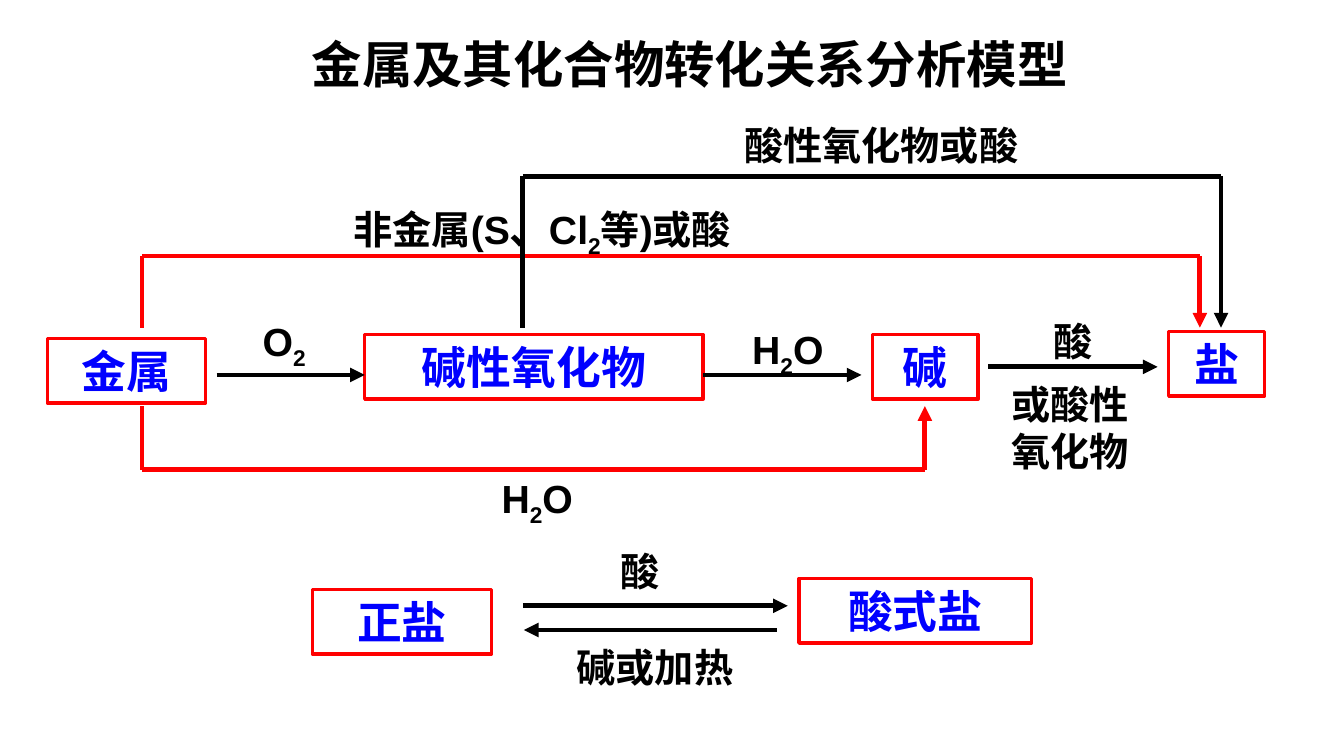
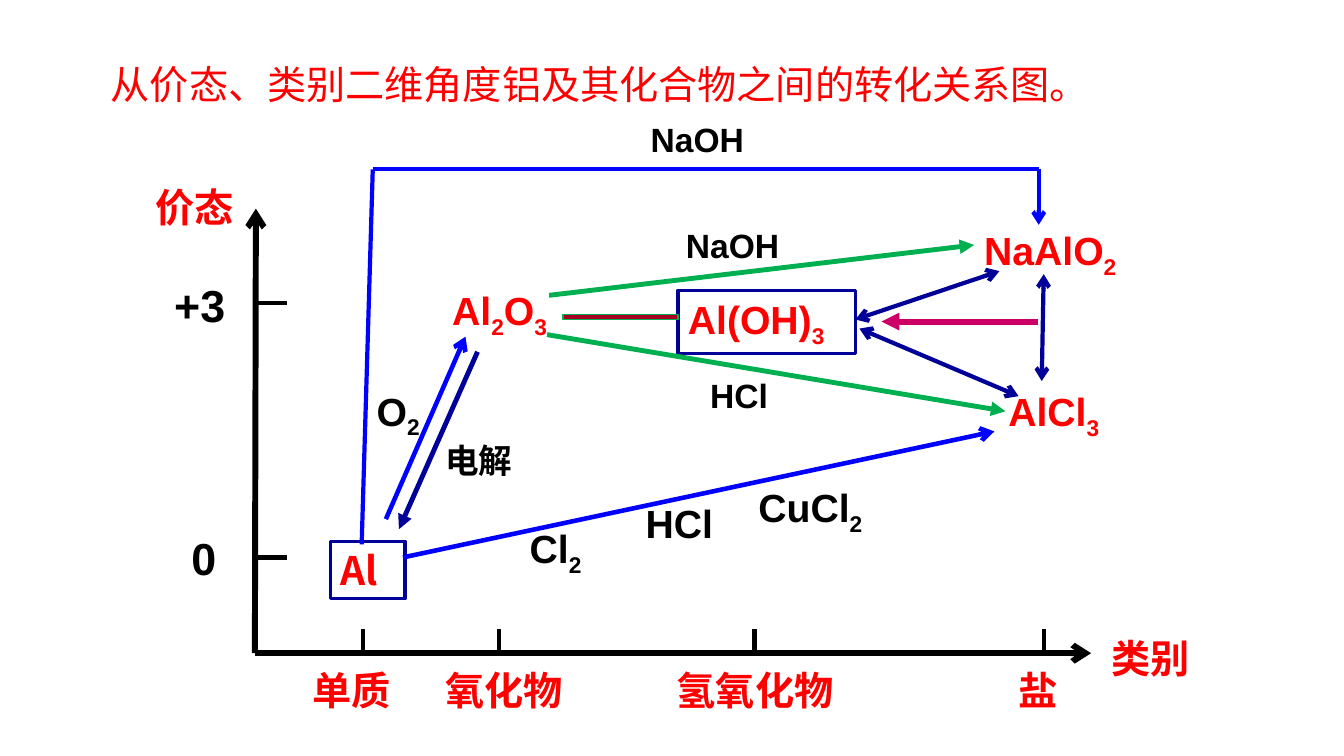
"""Build two slides on how metals and aluminium compounds convert."""
from lxml import etree
from pptx import Presentation
from pptx import util as u
from pptx.dml.color import RGBColor
from pptx.enum import shapes, text
from pptx.oxml import ns

COLORS = {
    "black": "000000", "red": "FF0000", "blue": "0000FF", "navy": "000099",
    "green": "00B050", "maroon": "A50021", "pink": "CC0066",
}
LATIN, CJK = "Arial", "Noto Sans CJK SC"
TITLE_ONLY = 5
CENTER, LEFT = text.PP_ALIGN.CENTER, text.PP_ALIGN.LEFT


def rgb(name):
    """Return the named colour."""
    return RGBColor.from_string(COLORS[name])


def split_subscripts(words):
    """Yield (piece, is_subscript); the character after each _ is a subscript."""
    first, *others = words.split("_")
    yield first, False
    for other in others:
        yield other[0], True
        yield other[1:], False


def write_text(frame, words, size=28, color="black", bold=True, font=LATIN, align=LEFT):
    """Fill a text frame with one formatted paragraph."""
    frame.word_wrap = True
    frame.auto_size = text.MSO_AUTO_SIZE.SHAPE_TO_FIT_TEXT
    frame.vertical_anchor = text.MSO_ANCHOR.TOP
    para = frame.paragraphs[0]
    para.alignment = align
    for piece, subscript in split_subscripts(words):
        if not piece:
            continue
        span = para.add_run()
        span.text = piece
        span.font.size = u.Pt(size)
        span.font.bold = bold
        span.font.name = font
        span.font.color.rgb = rgb(color)
        properties = span._r.get_or_add_rPr()
        etree.SubElement(properties, ns.qn("a:ea")).set("typeface", CJK)
        if subscript:
            properties.set("baseline", "-25000")


class Diagram:
    """Holds the deck, the current page and the shared style."""

    def __init__(self):
        """Start a wide deck."""
        self.deck = Presentation()
        self.deck.slide_width = u.Inches(13.34)
        self.deck.slide_height = u.Inches(7.5)
        self.page = None

    def add_page(self, words, place, **style):
        """Add a page with its title."""
        self.page = self.deck.slides.add_slide(self.deck.slide_layouts[TITLE_ONLY])
        title = self.page.shapes.title
        title.left, title.top, title.width, title.height = map(u.Inches, place)
        write_text(title.text_frame, words, **style)

    def label(self, words, left, top, width, height=0.57, **style):
        """Add plain text."""
        box = self.page.shapes.add_textbox(*map(u.Inches, (left, top, width, height)))
        write_text(box.text_frame, words, **style)

    def rectangle(self, place, outline, weight=2.5, fill=None):
        """Add a rectangle and return it."""
        box = self.page.shapes.add_shape(shapes.MSO_SHAPE.RECTANGLE, *map(u.Inches, place))
        box.shadow.inherit = False
        if fill:
            box.fill.solid()
            box.fill.fore_color.rgb = rgb(fill)
        else:
            box.fill.background()
        box.line.color.rgb = rgb(outline)
        box.line.width = u.Pt(weight)
        return box

    def framed(self, words, place, outline, **style):
        """Add text in an outlined rectangle."""
        write_text(self.rectangle(place, outline).text_frame, words, **style)

    def line(self, start, end, color="black", weight=3.5, head=None, tail=None):
        """Add a straight line with optional arrowheads."""
        line = self.page.shapes.add_connector(
            shapes.MSO_CONNECTOR.STRAIGHT, *map(u.Inches, (*start, *end)))
        line.line.color.rgb = rgb(color)
        line.line.width = u.Pt(weight)
        outline = line.line._get_or_add_ln()
        for tag, kind in (("a:headEnd", head), ("a:tailEnd", tail)):
            if kind:
                etree.SubElement(outline, ns.qn(tag)).set("type", kind)
        etree.SubElement(line._element.spPr, ns.qn("a:effectLst"))

    def route(self, points, tail="triangle", **style):
        """Join points with lines, ending in an arrow."""
        for index, (start, end) in enumerate(zip(points, points[1:]), 2):
            self.line(start, end, tail=tail if index == len(points) else None, **style)


def build_metal_model(diagram):
    """Draw the general conversion model for metals."""
    diagram.add_page("金属及其化合物转化关系分析模型", (1.36, 0.28, 10.97, 0.7),
                     size=36, align=CENTER)
    for words, left, top, width in (
        ("金属", 0.47, 3.36, 1.57), ("碱性氧化物", 3.62, 3.32, 3.36),
        ("碱", 8.66, 3.32, 1.05), ("盐", 11.6, 3.29, 0.95),
        ("正盐", 3.1, 5.85, 1.78), ("酸式盐", 7.93, 5.74, 2.31),
    ):
        diagram.framed(words, (left, top, width, 0.64), "red",
                       size=32, color="blue", align=CENTER)
    for start, end, height in (
        (2.15, 3.62, 3.72), (6.98, 8.55, 3.72), (9.81, 11.49, 3.64),
        (5.19, 7.82, 6.01), (7.71, 5.2, 6.25),
    ):
        diagram.line((start, height), (end, height), tail="triangle")
    for start, end, base, turn, color in (
        (1.41, 11.91, 3.25, 2.54, "red"), (1.41, 9.18, 4.03, 4.66, "red"),
        (5.19, 12.12, 3.25, 1.75, "black"),
    ):
        diagram.route([(start, base), (start, turn), (end, turn), (end, base)], color=color)
    for words, left, top, width in (
        ("O_2", 2.35, 3.1, 0.94), ("H_2O", 7.19, 3.18, 1.26),
        ("酸", 10.23, 3.1, 0.84), ("酸", 5.93, 5.38, 0.84),
        ("碱或加热", 5.49, 6.33, 2.02),
    ):
        diagram.label(words, left, top, width, align=CENTER)
    for words, left, top, width in (
        ("H_2O", 4.88, 4.66, 1.26), ("酸性氧化物或酸", 7.29, 1.15, 3.12),
        ("非金属(S、Cl_2等)或酸", 3.41, 1.99, 6.3),
    ):
        diagram.label(words, left, top, width)
    diagram.label("或酸性氧化物", 9.94, 3.72, 1.51, 1.04)


def build_axes(diagram):
    """Draw the valence and category axes."""
    origin = (2.53, 6.48)
    for end in ((2.54, 2.07), (10.83, 6.48)):
        diagram.line(origin, end, weight=4.25, tail="arrow")
    for height in (3.01, 5.53):
        diagram.line((2.53, height), (2.85, height), weight=3)
    for across in (3.6, 4.95, 7.49, 10.36):
        diagram.line((across, 6.24), (across, 6.48), weight=3)
    diagram.label("0", 1.8, 5.22, 0.69, 0.64, size=32)
    diagram.label("+3", 1.63, 2.71, 0.88, 0.64, size=32)
    for words, left, width in (
        ("单质", 3, 1.09), ("氧化物", 4.32, 2.41), ("氢氧化物", 6.62, 1.87), ("盐", 10.01, 0.65),
    ):
        diagram.label(words, left, 6.56, width, color="red")
    diagram.label("价态", 1.44, 1.77, 1.15, color="red")
    diagram.label("类别", 10.93, 6.24, 1.73, color="red")


def build_aluminium_map(diagram):
    """Draw the aluminium conversions by valence and category."""
    diagram.add_page("从价态、类别二维角度铝及其化合物之间的转化关系图。",
                     (1, 0.55, 12.08, 0.57), color="red", bold=False, font=CJK)
    build_axes(diagram)
    diagram.framed("Al", (3.28, 5.37, 0.74, 0.57), "navy", color="red", font=CJK)
    diagram.framed("Al(OH)_3", (6.73, 2.88, 1.76, 0.63), "navy", color="red")
    for words, left, top, width in (
        ("AlCl_3", 9.91, 3.79, 1.35), ("Al_2O_3", 4.39, 2.79, 1.33), ("NaAlO_2", 9.67, 2.2, 1.75),
    ):
        diagram.label(words, left, top, width, 0.63, color="red")
    diagram.rectangle((5.59, 3.12, 1.14, 0.05), "green", weight=1, fill="maroon")
    for start, end, color, weight, tail in (
        ((3.83, 5.15), (4.62, 3.34), "blue", 3.25, "arrow"),
        ((4, 5.53), (9.87, 4.28), "blue", 3.25, "arrow"),
        ((5.45, 2.93), (9.67, 2.43), "green", 3.5, "triangle"),
        ((5.43, 3.32), (9.98, 4.08), "green", 3.5, "triangle"),
        ((4.74, 3.49), (3.96, 5.25), "navy", 3.5, "triangle"),
        ((10.3, 3.19), (8.75, 3.19), "pink", 4.25, "triangle"),
    ):
        diagram.line(start, end, color, weight, tail=tail)
    for start, end in (
        ((10.36, 2.72), (10.34, 3.78)), ((9.92, 2.69), (8.49, 3.17)), ((10.11, 3.93), (8.53, 3.26)),
    ):
        diagram.line(start, end, "navy", 3, head="arrow", tail="arrow")
    diagram.route([(3.59, 5.4), (3.7, 1.68), (10.31, 1.68), (10.31, 2.23)],
                  tail="arrow", color="blue", weight=3)
    for words, left, top, width in (
        ("Cl_2", 5.16, 5.15, 1.57), ("HCl", 6.31, 4.9, 1.03),
        ("O_2", 3.64, 3.79, 0.71), ("CuCl_2", 7.43, 4.75, 1.4),
    ):
        diagram.label(words, left, top, width)
    for words, left, top, width in (
        ("NaOH", 6.36, 1.13, 1.27), ("电解", 4.32, 4.32, 0.97),
        ("NaOH", 6.71, 2.18, 1.26), ("HCl", 6.95, 3.67, 0.97),
    ):
        diagram.label(words, left, top, width, 0.5, size=24)


def main():
    """Build and save the deck."""
    diagram = Diagram()
    build_metal_model(diagram)
    build_aluminium_map(diagram)
    diagram.deck.save("out.pptx")


if __name__ == "__main__":
    main()
